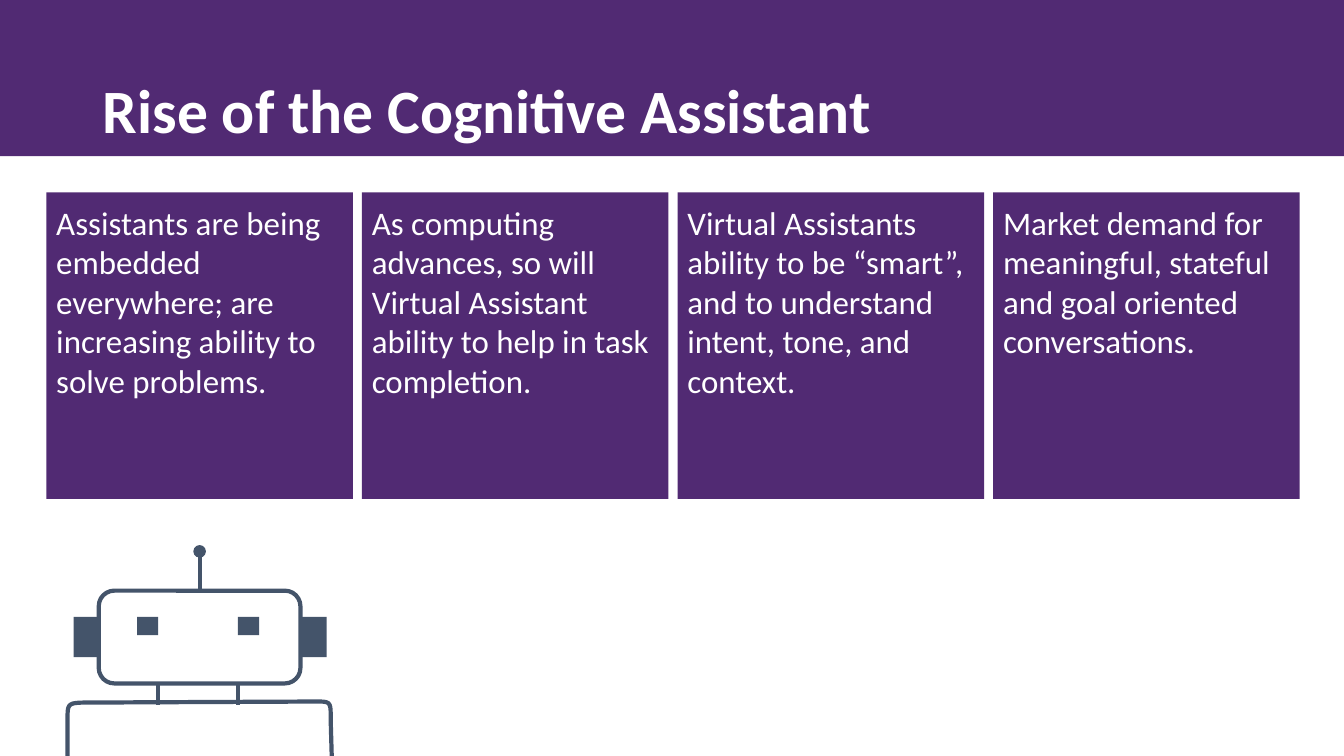
import pptx
import pptx.util
import pptx.dml.color
import pptx.enum.shapes
import pptx.enum.text
from dataclasses import dataclass
from lxml import etree

Inches, Pt = pptx.util.Inches, pptx.util.Pt
RGB = pptx.dml.color.RGBColor
SHAPE = pptx.enum.shapes.MSO_SHAPE
ANCHOR = pptx.enum.text.MSO_ANCHOR
ALIGN = pptx.enum.text.PP_ALIGN


@dataclass(frozen=True)
class Theme:
    purple: RGB = RGB.from_string("512A73")
    slate: RGB = RGB.from_string("44546A")
    white: RGB = RGB.from_string("FFFFFF")
    font: str = "Calibri"
    title: float = 44
    body: float = 23.5
    stroke: float = 3


theme = Theme()


def add_block(shapes, kind, box, fill):
    """Add a preset shape without outline or shadow."""
    sp = shapes.add_shape(kind, *map(Inches, box))
    sp.shadow.inherit = False
    sp.line.fill.background()
    sp.fill.solid()
    sp.fill.fore_color.rgb = fill
    return sp


def add_text(tf, text, size, bold=False):
    """Add one white run to the first paragraph."""
    tf.word_wrap = True
    p = tf.paragraphs[0]
    p.alignment = ALIGN.LEFT
    r = p.add_run()
    r.text = text
    r.font.name, r.font.size, r.font.bold = theme.font, Pt(size), bold
    r.font.color.rgb = theme.white
    return p


prs = pptx.Presentation()
prs.slide_width, prs.slide_height = Inches(13.33), Inches(7.5)
s = prs.slides.add_slide(prs.slide_layouts[5])

# Header band, with the title in front of it
add_block(s.shapes, SHAPE.RECTANGLE, (0, 0, 13.33, 1.55), theme.purple)
title = s.shapes.title
title.left, title.top = Inches(0.92), Inches(0.4)
title.width, title.height = Inches(11.5), Inches(1.45)
title.text_frame.vertical_anchor = ANCHOR.MIDDLE
p = add_text(title.text_frame, "Rise of the Cognitive Assistant", theme.title, True)
p.line_spacing = 0.9
title.element.getparent().append(title.element)

# Robot head, eyes and ears
robot = s.shapes.add_group_shape().shapes
head = add_block(robot, SHAPE.ROUNDED_RECTANGLE, (0.98, 5.86, 2, 0.92), theme.white)
head.fill.background()
head.line.color.rgb, head.line.width = theme.slate, Pt(theme.stroke)
for x, w, h in ((1.36, 0.21, 0.18), (2.36, 0.21, 0.18), (0.73, 0.26, 0.4), (2.98, 0.26, 0.4)):
    add_block(robot, SHAPE.RECTANGLE, (x, 6.12, w, h), theme.slate)

# Antenna and neck
for x, y1, y2 in ((1.98, 5.86, 5.47), (1.57, 6.78, 6.99), (2.36, 6.78, 6.99)):
    line = robot.add_connector(pptx.enum.shapes.MSO_CONNECTOR.STRAIGHT,
                               Inches(x), Inches(y1), Inches(x), Inches(y2))
    line.line.color.rgb, line.line.width = theme.slate, Pt(theme.stroke)
    etree.SubElement(line.element.spPr, pptx.oxml.ns.qn("a:effectLst"))
    if y2 < y1:
        etree.SubElement(line.line._get_or_add_ln(), pptx.oxml.ns.qn("a:tailEnd"), type="oval")

# Shoulders: two rounded corners sampled from cubic curves
corners = (
    ((0.67, 7.13), (0.67, 6.97), (0.67, 6.97), (0.91, 6.97)),
    ((3.06, 6.96), (3.29, 6.96), (3.28, 6.94), (3.28, 7.15)),
)
steps = 10
points = []
for curve in corners:
    for i in range(steps + 1):
        t = i / steps
        weights = ((1 - t) ** 3, 3 * t * (1 - t) ** 2, 3 * t ** 2 * (1 - t), t ** 3)
        points.append([Inches(sum(w * c[axis] for w, c in zip(weights, curve))) for axis in (0, 1)])
points.append([Inches(3.29), Inches(7.5)])
builder = robot.build_freeform(Inches(0.67), Inches(7.5))
builder.add_line_segments(points, close=False)
body = builder.convert_to_shape()
body.shadow.inherit = False
body.fill.background()
body.line.color.rgb, body.line.width = theme.slate, Pt(theme.stroke)

# Four cards at an equal pitch
cards = (
    "Assistants are being embedded everywhere; are increasing ability to solve problems.",
    "As computing advances, so will Virtual Assistant ability to help in task completion.",
    "Virtual Assistants ability to be “smart”, and to understand intent, tone, and context.",
    "Market demand for meaningful, stateful and goal oriented conversations.",
)
for i, text in enumerate(cards):
    card = add_block(s.shapes, SHAPE.RECTANGLE, (0.46 + 3.13 * i, 1.91, 3.04, 3.04), theme.purple)
    tf = card.text_frame
    tf.vertical_anchor = ANCHOR.TOP
    tf.margin_left = tf.margin_top = Inches(0.1)
    tf.margin_right, tf.margin_bottom = Inches(0), Inches(0.05)
    add_text(tf, text, theme.body)

prs.save("out.pptx")
